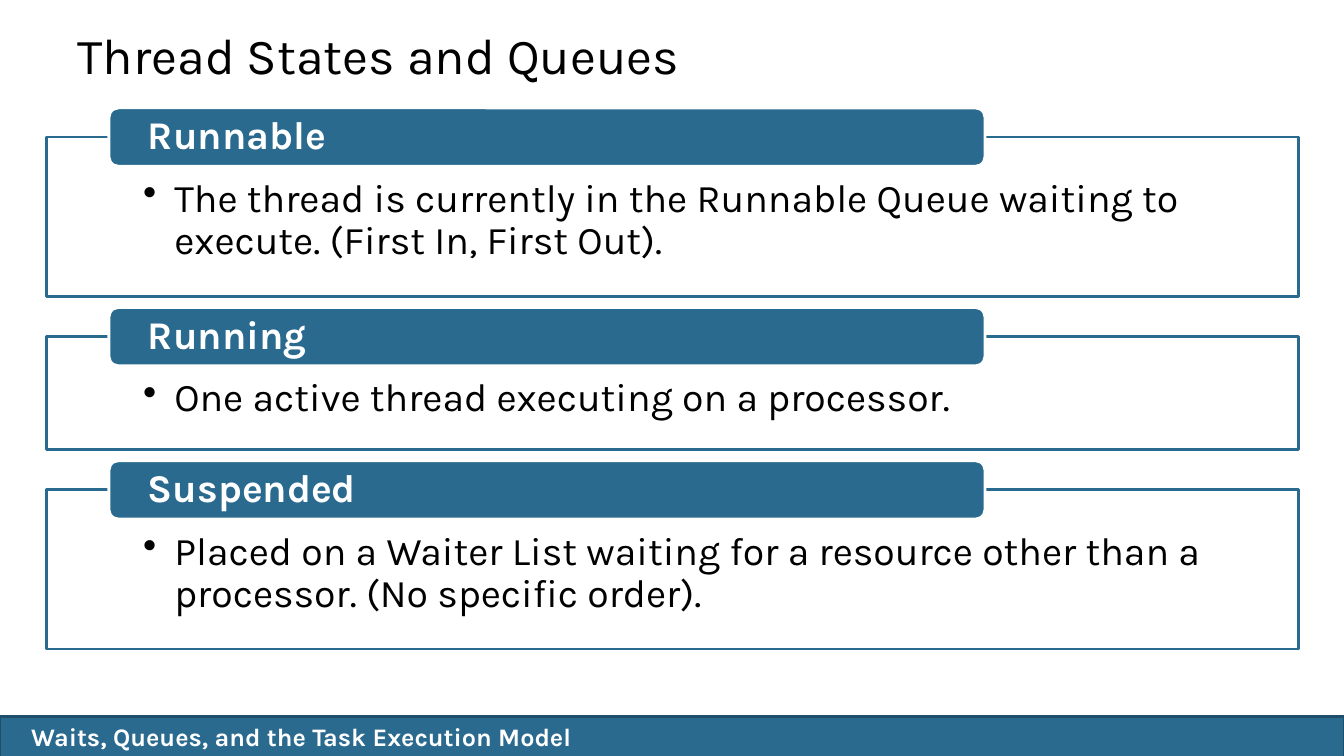
"""Build the slide on thread states and queues."""
from lxml.etree import SubElement
from pptx import Presentation
from pptx.dml.color import RGBColor
from pptx.enum.shapes import MSO_SHAPE
from pptx.enum.text import MSO_ANCHOR, MSO_AUTO_SIZE, PP_ALIGN
from pptx.oxml.ns import qn
from pptx.util import Inches, Pt

BLUE, WHITE, BLACK = "296A8E", "FFFFFF", "000000"
STATES = [
    ("Runnable", 1.58, "The thread is currently in the Runnable Queue "
     "waiting to execute. (First In, First Out)."),
    ("Running", 1.12, "One active thread executing on a processor."),
    ("Suspended", 1.58, "Placed on a Waiter List waiting for a resource "
     "other than a processor. (No specific order)."),
]


def style(par, text, size, color, bold=False):
    par.text = text
    par.alignment = PP_ALIGN.LEFT
    par.font.name = "Karla"
    par.font.size = Pt(size)
    par.font.bold = bold
    par.font.color.rgb = RGBColor.from_string(color)


def block(kind, area, fill, line, pads, anchor):
    shape = slide.shapes.add_shape(kind, *map(Inches, area))
    shape.shadow.inherit = False
    shape.fill.solid()
    shape.fill.fore_color.rgb = RGBColor.from_string(fill)
    shape.line.color.rgb = RGBColor.from_string(line)
    shape.line.width = Pt(2)
    frame = shape.text_frame
    frame.word_wrap = True
    frame.vertical_anchor = anchor
    (frame.margin_left, frame.margin_top,
     frame.margin_right, frame.margin_bottom) = map(Inches, pads)
    return shape


deck = Presentation()
deck.slide_width, deck.slide_height = Inches(13.33), Inches(7.5)
slide = deck.slides.add_slide(deck.slide_layouts[5])

title = slide.shapes.title
title.left, title.top = Inches(0.67), Inches(0.3)
title.width, title.height = Inches(12), Inches(1.25)
title.text_frame.auto_size = MSO_AUTO_SIZE.NONE
title.text_frame.vertical_anchor = MSO_ANCHOR.TOP
head = title.text_frame.paragraphs[0]
style(head, "Thread States and Queues", 36, BLACK)
head.line_spacing = Pt(35)

foot = block(MSO_SHAPE.RECTANGLE, (0, 7.11, 13.33, 0.4), BLUE, "1E4E69",
             (0.31, 0, 0.1, 0), MSO_ANCHOR.MIDDLE)
style(foot.text_frame.paragraphs[0],
      "Waits, Queues, and the Task Execution Model", 18, WHITE, True)

top = 1.36
for name, high, text in STATES:
    box = block(MSO_SHAPE.RECTANGLE, (0.46, top, 12.42, high), WHITE, BLUE,
                (0.96, 0.41, 0.96, 0.22), MSO_ANCHOR.TOP)
    item = box.text_frame.paragraphs[0]
    style(item, text, 28, BLACK)
    item.line_spacing = 0.9
    props = item._p.get_or_add_pPr()
    props.set("marL", str(Inches(0.31)))
    props.set("indent", str(-Inches(0.31)))
    mark = SubElement(props, qn("a:buChar"))
    mark.set("char", "•")
    props.insert_element_before(mark, "a:tabLst", "a:defRPr", "a:extLst")

    tab = block(MSO_SHAPE.ROUNDED_RECTANGLE, (1.08, top - 0.29, 8.69, 0.58),
                BLUE, WHITE, (0.36, 0, 0.36, 0), MSO_ANCHOR.MIDDLE)
    label = tab.text_frame.paragraphs[0]
    style(label, name, 28, WHITE, True)
    label.line_spacing = 0.9
    top += high + 0.4

deck.save("out.pptx")
